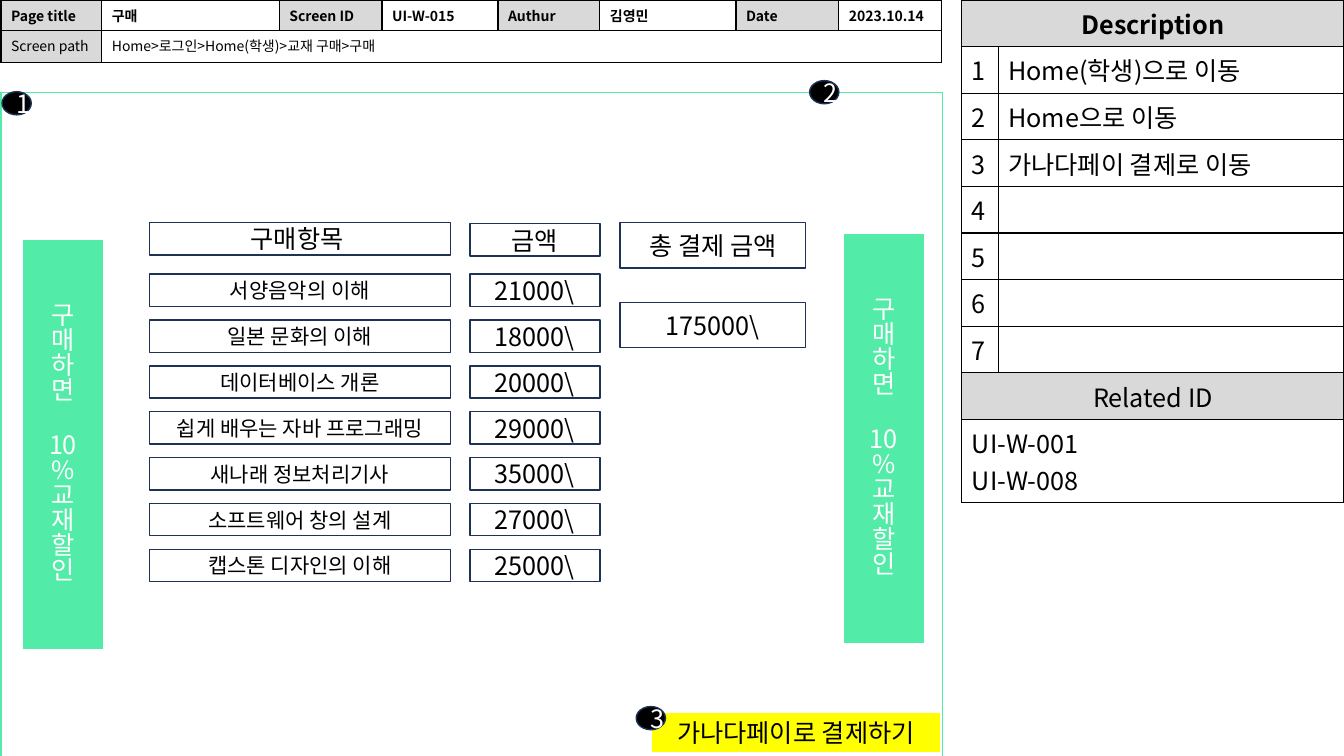
import pptx
import pptx.util
import pptx.dml.color
import pptx.enum.shapes
import pptx.enum.text
import pptx.oxml
import pptx.oxml.ns
from dataclasses import dataclass

Inches = pptx.util.Inches
Pt = pptx.util.Pt
Shape = pptx.enum.shapes.MSO_SHAPE
Align = pptx.enum.text.PP_ALIGN


@dataclass(frozen=True)
class Theme:
    font: str = "Noto Sans CJK KR"
    black: str = "000000"
    white: str = "FFFFFF"
    gray: str = "D9D9D9"
    mint: str = "52EBA8"
    yellow: str = "FFFF00"
    navy: str = "1E3256"
    large: int = 18
    medium: int = 15
    small: int = 10


THEME = Theme()

PAGE_INFO = [
    ["Page title", "구매", "Screen ID", "UI-W-015", "Authur", "김영민", "Date", "2023.10.14"],
    ["Screen path", "Home>로그인>Home(학생)>교재 구매>구매"],
]
PAGE_INFO_COLUMNS = [1, 1.76, 1.02, 1.15, 1.01, 1.35, 1.02, 1.02]
PAGE_INFO_ROWS = [0.3, 0.32]

DESCRIPTION = [
    ["Description"],
    ["1", "Home(학생)으로 이동"],
    ["2", "Home으로 이동"],
    ["3", "가나다페이 결제로 이동"],
    ["4"],
    ["5"],
    ["6"],
    ["7"],
    ["Related ID"],
    ["UI-W-001\nUI-W-008"],
]
DESCRIPTION_COLUMNS = [0.36, 3.43]
DESCRIPTION_ROW = 0.41

ORDER_HEADER = ("구매항목 ", "금액")
ORDER_ITEMS = [
    ("서양음악의 이해", "21000\\"),
    ("일본 문화의 이해", "18000\\"),
    ("데이터베이스 개론", "20000\\"),
    ("쉽게 배우는 자바 프로그래밍", "29000\\"),
    ("새나래 정보처리기사", "35000\\"),
    ("소프트웨어 창의 설계", "27000\\"),
    ("캡스톤 디자인의 이해", "25000\\"),
]
ITEM_LEFT, ITEM_WIDTH = 1.48, 2.99
PRICE_LEFT, PRICE_WIDTH = 4.66, 1.29
ORDER_TOP, ORDER_PITCH, ORDER_HEIGHT = 2.72, 0.455, 0.32

TOTAL = ["총 결제 금액", "175000\\"]
PAY_BUTTON = "가나다페이로 결제하기"
BANNER = ["구", "매", "하", "면", "10", "%", "교", "재", "할", "인"]
BANNER_GAP_BEFORE = "10"
BANNER_PLACES = [(0.22, 2.37), (8.36, 2.31)]
MARKERS = [("1", 0.02, 0.91), ("2", 8.03, 0.8), ("3", 6.31, 7.01)]


def rgb(color):
    return pptx.dml.color.RGBColor.from_string(color)


def format_text(frame, size, color, align=Align.CENTER, bold=False):
    for para in frame.paragraphs:
        para.alignment = align
        for span in para.runs:
            span.font.size = Pt(size)
            span.font.bold = bold
            span.font.color.rgb = rgb(color)
            span.font.name = THEME.font
            east_asian = pptx.oxml.parse_xml(
                f'<a:ea {pptx.oxml.ns.nsdecls("a")} typeface="{THEME.font}"/>')
            span.font._element.find(pptx.oxml.ns.qn("a:latin")).addnext(east_asian)


def add_box(shapes, place, text="", fill=THEME.white, line=THEME.navy,
            color=THEME.black, size=THEME.large, kind=Shape.RECTANGLE):
    box = shapes.add_shape(kind, *(Inches(length) for length in place))
    box.shadow.inherit = False
    box.fill.solid()
    box.fill.fore_color.rgb = rgb(fill)
    box.line.color.rgb = rgb(line)
    box.line.width = Pt(1)
    if text:
        box.text_frame.text = text
        box.text_frame.vertical_anchor = pptx.enum.text.MSO_ANCHOR.MIDDLE
        format_text(box.text_frame, size, color)
    return box


def style_cell(cell, fill):
    properties = cell._tc.get_or_add_tcPr()
    for side in ("lnL", "lnR", "lnT", "lnB"):
        properties.append(pptx.oxml.parse_xml(
            f'<a:{side} {pptx.oxml.ns.nsdecls("a")} w="12700"><a:solidFill>'
            f'<a:srgbClr val="{THEME.black}"/></a:solidFill></a:{side}>'))
    cell.fill.solid()
    cell.fill.fore_color.rgb = rgb(fill)


def add_grid(page, left, columns, rows, content, size, look):
    """Add a table; look(row, column) gives fill, alignment and bold of a cell."""
    table = page.shapes.add_table(
        len(rows), len(columns), Inches(left), 0,
        Inches(sum(columns)), Inches(sum(rows))).table
    for column, width in zip(table.columns, columns):
        column.width = Inches(width)
    for row, height in zip(table.rows, rows):
        row.height = Inches(height)
    for r, texts in enumerate(content):
        for c in range(len(columns)):
            cell = table.cell(r, c)
            fill, align, bold = look(r, c)
            style_cell(cell, fill)
            if c < len(texts):
                cell.text_frame.text = texts[c]
                format_text(cell.text_frame, size, THEME.black, align, bold)
    return table


def page_info_look(row, column):
    fill = THEME.gray if column % 2 == 0 else THEME.white
    return (fill if row == 0 or column == 0 else THEME.white), Align.LEFT, row == 0


def description_look(row, column):
    heading = DESCRIPTION[row][0] in ("Description", "Related ID")
    return (THEME.gray if heading else THEME.white,
            Align.CENTER if heading else Align.LEFT, row == 0)


def add_tables(page):
    description = add_grid(page, 9.54, DESCRIPTION_COLUMNS,
                           [DESCRIPTION_ROW] * len(DESCRIPTION), DESCRIPTION,
                           THEME.large, description_look)
    for r, texts in enumerate(DESCRIPTION):
        if not texts[0].isdigit():
            description.cell(r, 0).merge(description.cell(r, 1))
    info = add_grid(page, 0.01, PAGE_INFO_COLUMNS, PAGE_INFO_ROWS, PAGE_INFO,
                    THEME.small, page_info_look)
    info.cell(1, 1).merge(info.cell(1, len(PAGE_INFO_COLUMNS) - 1))


def add_order(page):
    order = page.shapes.add_group_shape().shapes
    item, price = ORDER_HEADER
    add_box(order, (PRICE_LEFT, 2.22, PRICE_WIDTH, ORDER_HEIGHT), price)
    add_box(order, (ITEM_LEFT, 2.21, ITEM_WIDTH, ORDER_HEIGHT), item)
    for index, (item, price) in enumerate(ORDER_ITEMS):
        top = ORDER_TOP + index * ORDER_PITCH
        add_box(order, (ITEM_LEFT, top, ITEM_WIDTH, ORDER_HEIGHT), item, size=THEME.medium)
        add_box(order, (PRICE_LEFT, top, PRICE_WIDTH, ORDER_HEIGHT), price)
    total = page.shapes.add_group_shape().shapes
    for index, text in enumerate(TOTAL):
        add_box(total, (6.15, 2.21 + index * 0.79, 1.84, 0.45), text)


def add_banner(page, left, top):
    banner = add_box(page.shapes, (left, top, 0.81, 4.08), "\n".join(BANNER),
                     THEME.mint, THEME.white, THEME.white)
    for para in banner.text_frame.paragraphs:
        para.line_spacing = 0.83
        if para.text == BANNER_GAP_BEFORE:
            para.space_before = Pt(21.5)


def main():
    deck = pptx.Presentation()
    deck.slide_width, deck.slide_height = Inches(13.33), Inches(7.5)
    page = deck.slides.add_slide(deck.slide_layouts[6])
    add_box(page.shapes, (0.01, 0.92, 9.34, 6.7), line=THEME.mint)
    add_box(page.shapes, (6.46, 7.07, 2.87, 0.4), PAY_BUTTON, THEME.yellow, THEME.white)
    add_tables(page)
    add_order(page)
    for number, left, top in MARKERS:
        add_box(page.shapes, (left, top, 0.29, 0.23), number, THEME.black,
                color=THEME.white, kind=Shape.OVAL)
    for left, top in BANNER_PLACES:
        add_banner(page, left, top)
    deck.save("out.pptx")


if __name__ == "__main__":
    main()
